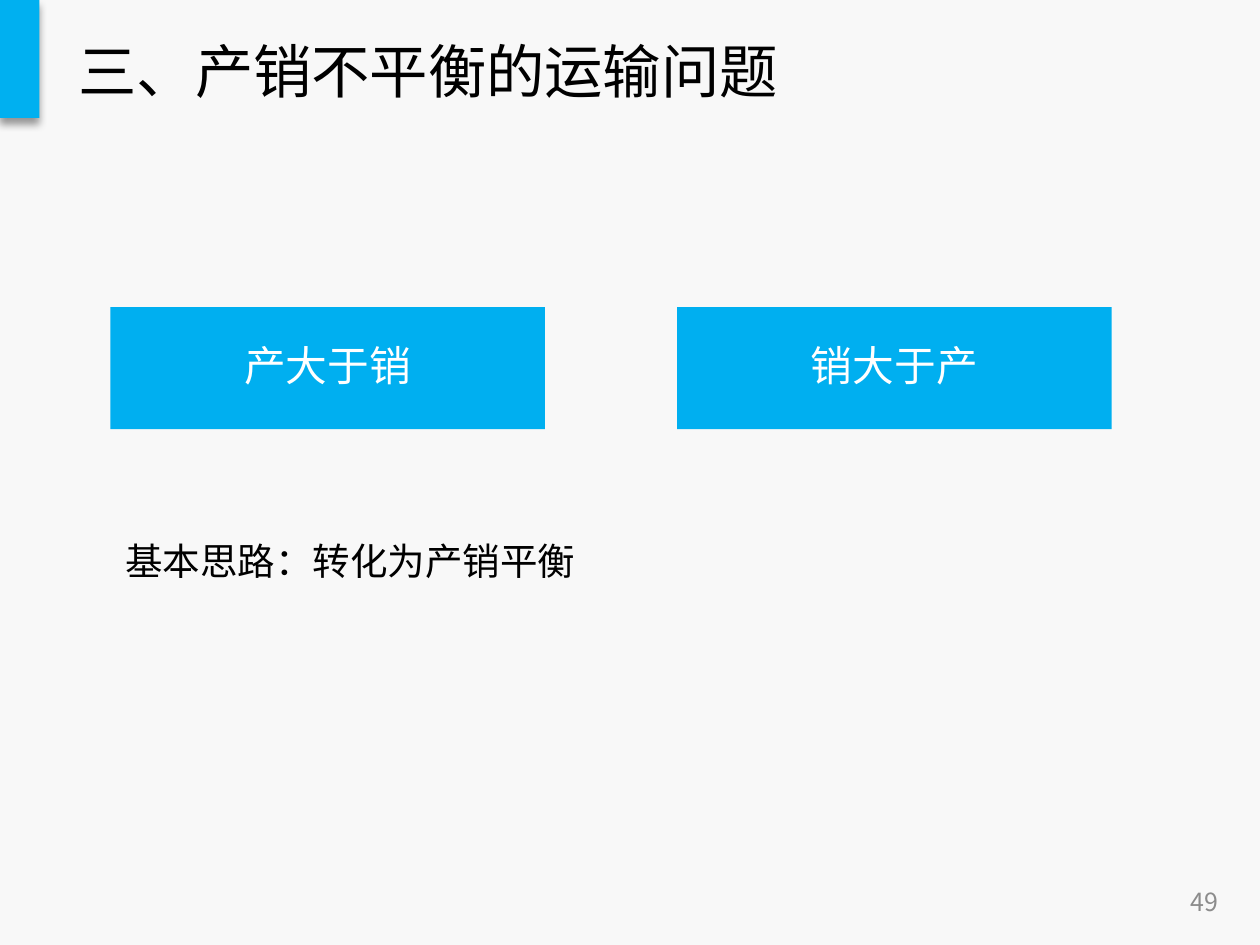
from dataclasses import dataclass

from lxml.etree import SubElement
from pptx import Presentation
from pptx.dml.color import RGBColor
from pptx.enum.shapes import MSO_SHAPE
from pptx.enum.text import MSO_ANCHOR, MSO_AUTO_SIZE, PP_ALIGN
from pptx.oxml.ns import qn
from pptx.util import Pt


@dataclass(frozen=True)
class Theme:
    """Colours, fonts and type sizes of the slide."""
    background: str = "F8F8F8"
    accent: str = "00B0F0"
    case_fill: str = "00AFF0"
    ink: str = "000000"
    inverse: str = "FFFFFF"
    muted: str = "8C8C8C"
    font: str = "Noto Sans CJK SC"
    latin_font: str = "Times New Roman"
    title_size: int = 28
    case_size: int = 20
    idea_size: int = 18
    number_size: int = 12


THEME = Theme()
WIDTH, HEIGHT = 604.8, 453.6


def place(part, box):
    """Move a part to a box of left, top, width and height in points."""
    part.left, part.top, part.width, part.height = (Pt(length) for length in box)


def paint(part, color):
    """Fill a part with a plain colour, without outline or inherited shadow."""
    part.shadow.inherit = False
    part.fill.solid()
    part.fill.fore_color.rgb = RGBColor.from_string(color)
    part.line.fill.background()


def write(frame, wording, size, color, align=PP_ALIGN.LEFT, latin=THEME.font):
    """Write one run into the first paragraph and return that paragraph."""
    frame.word_wrap = True
    paragraph = frame.paragraphs[0]
    paragraph.alignment = align
    run = paragraph.add_run()
    run.text = wording
    run.font.size = Pt(size)
    run.font.color.rgb = RGBColor.from_string(color)
    run.font.name = latin
    SubElement(run.font._element, qn("a:ea"), typeface=THEME.font)
    return paragraph


def add_accent_bar(slide, box):
    """Draw the corner bar with its soft shadow below."""
    bar = slide.shapes.add_shape(MSO_SHAPE.RECTANGLE, *(Pt(length) for length in box))
    paint(bar, THEME.accent)
    effects = bar._element.spPr.find(qn("a:effectLst"))
    shadow = SubElement(effects, qn("a:outerShdw"), blurRad=str(Pt(4)),
                        dist=str(Pt(3)), dir="5400000", algn="t", rotWithShape="0")
    tint = SubElement(shadow, qn("a:srgbClr"), val=THEME.ink)
    SubElement(tint, qn("a:alpha"), val="40000")


def add_title(slide, box, wording):
    """Fill the title placeholder."""
    title = slide.shapes.title
    place(title, box)
    title.text_frame.vertical_anchor = MSO_ANCHOR.MIDDLE
    write(title.text_frame, wording, THEME.title_size, THEME.ink)


def add_cases(slide, box, cases, gap):
    """Lay out equal case panels side by side across the box."""
    left, top, width, height = box
    panel_width = (width - gap * (len(cases) - 1)) / len(cases)
    for column, case in enumerate(cases):
        panel_left = left + column * (panel_width + gap)
        panel = slide.shapes.add_shape(MSO_SHAPE.RECTANGLE, Pt(panel_left), Pt(top),
                                       Pt(panel_width), Pt(height))
        paint(panel, THEME.case_fill)
        frame = panel.text_frame
        frame.margin_left = frame.margin_right = Pt(16.5)
        frame.margin_top = frame.margin_bottom = Pt(9.5)
        frame.vertical_anchor = MSO_ANCHOR.MIDDLE
        label = write(frame, case, THEME.case_size, THEME.inverse, PP_ALIGN.CENTER)
        label.line_spacing = 0.9
        label.space_after = Pt(7)


def add_idea(slide, box, wording):
    """Add the basic idea below the cases."""
    idea = slide.shapes.add_textbox(*(Pt(length) for length in box))
    paragraph = write(idea.text_frame, wording, THEME.idea_size, THEME.ink,
                      latin=THEME.latin_font)
    paragraph.line_spacing = 1.5
    idea.text_frame.auto_size = MSO_AUTO_SIZE.SHAPE_TO_FIT_TEXT


def add_page_number(slide, box, number):
    """Add the page number at the lower right."""
    page = slide.shapes.add_textbox(*(Pt(length) for length in box))
    page.text_frame.vertical_anchor = MSO_ANCHOR.MIDDLE
    write(page.text_frame, number, THEME.number_size, THEME.muted, PP_ALIGN.RIGHT)


def main():
    """Build and save the slide."""
    deck = Presentation()
    deck.slide_width, deck.slide_height = Pt(WIDTH), Pt(HEIGHT)
    slide = deck.slides.add_slide(deck.slide_layouts[5])
    slide.background.fill.solid()
    slide.background.fill.fore_color.rgb = RGBColor.from_string(THEME.background)
    add_accent_bar(slide, (0, 0, 19, 56.7))
    add_title(slide, (30.5, 11.5, 544, 44), "三、产销不平衡的运输问题")
    add_page_number(slide, (451, 420.5, 141, 24.5), "49")
    add_idea(slide, (53, 244, WIDTH - 53, 36), "基本思路：转化为产销平衡")
    add_cases(slide, (53, 147.5, 480.6, 58.5), ("产大于销", "销大于产"), 63.4)
    deck.save("out.pptx")


if __name__ == "__main__":
    main()
